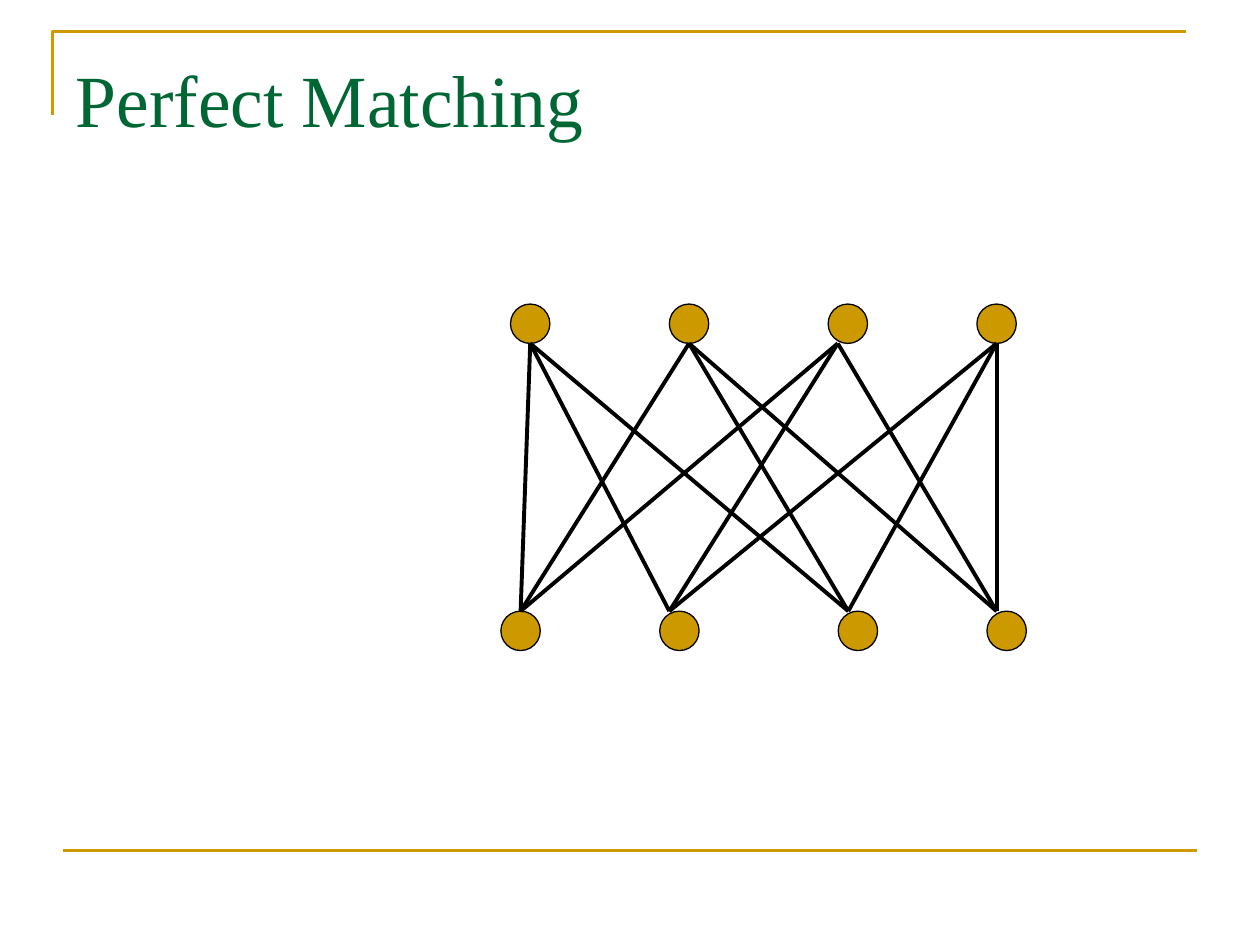
"""Build a slide showing a bipartite graph for perfect matching."""
from dataclasses import dataclass

from lxml import etree
from pptx import Presentation
from pptx.dml.color import RGBColor
from pptx.enum.shapes import MSO_CONNECTOR, MSO_SHAPE
from pptx.enum.text import MSO_ANCHOR, PP_ALIGN
from pptx.oxml.ns import qn
from pptx.util import Pt

STRAIGHT = MSO_CONNECTOR.STRAIGHT
ELLIPSE = MSO_SHAPE.OVAL
TOP = MSO_ANCHOR.TOP
LEFT = PP_ALIGN.LEFT

GOLD = RGBColor(0xCC, 0x99, 0x00)
GREEN = RGBColor(0x00, 0x66, 0x33)
BLACK = RGBColor(0x00, 0x00, 0x00)

DIAMETER = 22.5
UPPER_TOP = 173.75
LOWER_TOP = 349.25
UPPER_PORT_Y = UPPER_TOP + DIAMETER


@dataclass(frozen=True)
class Node:
    """A vertex with its centre and the place where its edges meet."""
    center_x: float
    port_x: float


UPPER_NODES = [Node(303, 303), Node(393.75, 393.75), Node(484.5, 478.75), Node(569.5, 569.5)]
LOWER_NODES = [Node(297.5, 297.5), Node(388.25, 382.5), Node(490.25, 484.75), Node(575.25, 569.5)]
NEIGHBOURS = [(0, 1, 2), (0, 2, 3), (0, 1, 3), (1, 2, 3)]


def apply_format(target, values: dict) -> None:
    """Set each named attribute on the target."""
    for name, value in values.items():
        setattr(target, name, value)


def style_line(line, color: RGBColor, width: float) -> None:
    """Give a line its colour and width."""
    line.color.rgb = color
    line.width = Pt(width)


def draw_line(page, start: tuple[float, float], end: tuple[float, float],
              color: RGBColor, width: float) -> None:
    """Draw a straight line without a shadow."""
    line = page.shapes.add_connector(STRAIGHT, *map(Pt, start + end))
    style_line(line.line, color, width)
    etree.SubElement(line._element.spPr, qn("a:effectLst"))


def draw_node(page, node: Node, top: float) -> None:
    """Draw one vertex as a filled circle."""
    circle = page.shapes.add_shape(ELLIPSE, Pt(node.center_x - DIAMETER / 2), Pt(top),
                                   Pt(DIAMETER), Pt(DIAMETER))
    circle.shadow.inherit = False
    circle.fill.solid()
    circle.fill.fore_color.rgb = GOLD
    style_line(circle.line, BLACK, 0.75)


def draw_frame(page) -> None:
    """Draw the corner rule above the title and the rule at the foot."""
    builder = page.shapes.build_freeform(Pt(30), Pt(66))
    builder.add_line_segments([(Pt(30), Pt(18)), (Pt(678), Pt(18))], close=False)
    corner = builder.convert_to_shape()
    corner.shadow.inherit = False
    corner.fill.background()
    style_line(corner.line, GOLD, 1.5)
    draw_line(page, (36, 486), (684, 486), GOLD, 1.5)


def write_title(page, text: str) -> None:
    """Place and format the title."""
    title = page.shapes.title
    apply_format(title, {"left": Pt(36), "top": Pt(21.6), "width": Pt(648), "height": Pt(90)})
    apply_format(title.text_frame, {"text": text, "vertical_anchor": TOP, "word_wrap": True,
                                    "margin_top": Pt(9)})
    para = title.text_frame.paragraphs[0]
    para.alignment = LEFT
    span = para.runs[0]
    apply_format(span.font, {"name": "Times New Roman", "size": Pt(42)})
    span.font.color.rgb = GREEN


def main() -> None:
    """Assemble and save the deck."""
    deck = Presentation()
    apply_format(deck, {"slide_width": Pt(720), "slide_height": Pt(540)})
    page = deck.slides.add_slide(deck.slide_layouts.get_by_name("Title Only"))
    draw_frame(page)
    write_title(page, "Perfect Matching")
    for nodes, top in ((UPPER_NODES, UPPER_TOP), (LOWER_NODES, LOWER_TOP)):
        for node in nodes:
            draw_node(page, node, top)
    for upper, neighbours in zip(UPPER_NODES, NEIGHBOURS):
        for index in neighbours:
            draw_line(page, (upper.port_x, UPPER_PORT_Y),
                      (LOWER_NODES[index].port_x, LOWER_TOP), BLACK, 2.25)
    deck.save("out.pptx")


if __name__ == "__main__":
    main()
